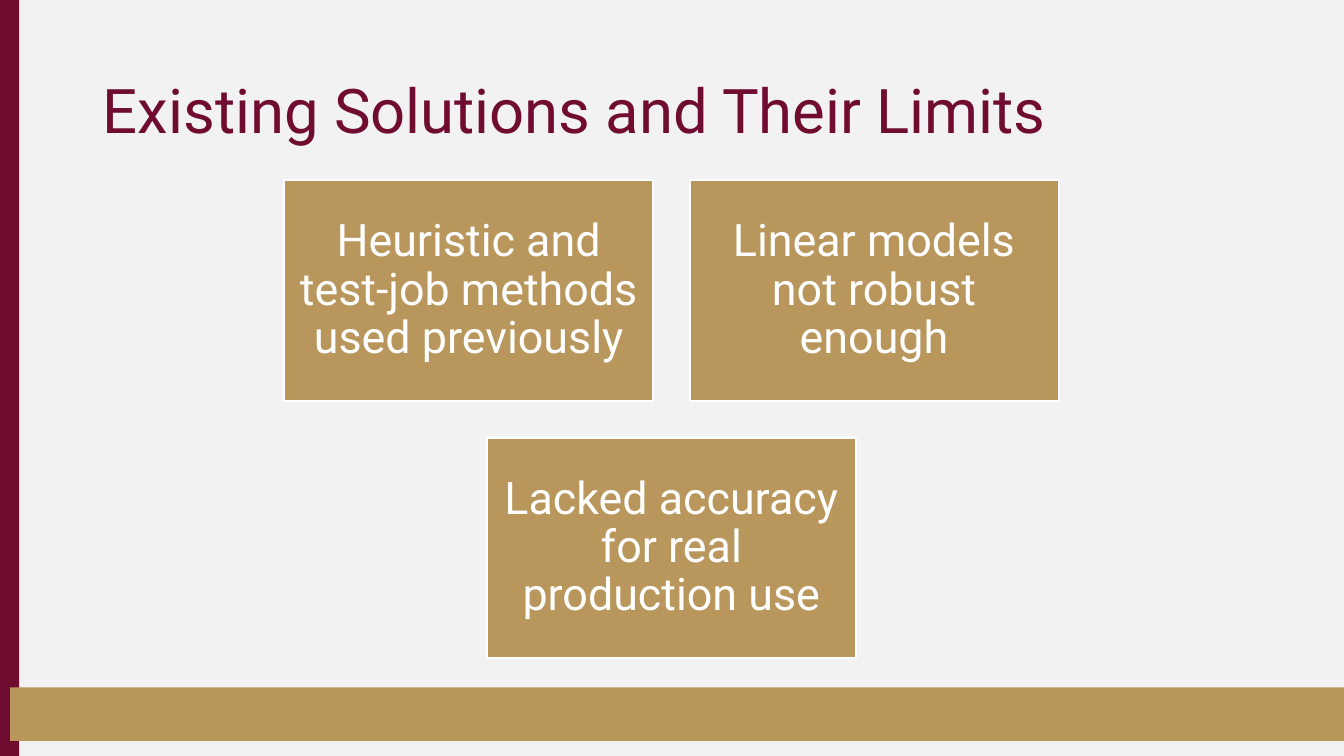
from pptx import Presentation
from pptx.dml.color import RGBColor
from pptx.enum.shapes import MSO_SHAPE
from pptx.enum.text import MSO_ANCHOR, PP_ALIGN
from pptx.util import Emu, Pt

RECT = MSO_SHAPE.RECTANGLE
MIDDLE = MSO_ANCHOR.MIDDLE
LEFT, CENTER = PP_ALIGN.LEFT, PP_ALIGN.CENTER

SCALE = 9144  # EMU per px, 100 px to the inch
SLIDE_W, SLIDE_H = 1333, 750
BOX_W, BOX_H, GAP = 366, 219, 36
BOXES_TOP = 179
FONT = "Roboto"
COLORS = {
    "background": "F2F2F2",
    "maroon": "700C2F",
    "bar": "B9975B",
    "box": "B9965B",
    "white": "FFFFFF",
}
BOX_ROWS = [
    ["Heuristic and test-job methods used previously",
     "Linear models not robust enough"],
    ["Lacked accuracy for real production use"],
]


def px(n):
    return Emu(n * SCALE)


def color(name):
    return RGBColor.from_string(COLORS[name])


def set_attrs(obj, values):
    for name, value in values.items():
        setattr(obj, name, value)


def set_text(sp, text, size, color_name, align):
    tf = sp.text_frame
    set_attrs(tf, {"word_wrap": True, "vertical_anchor": MIDDLE})
    p = tf.paragraphs[0]
    set_attrs(p, {"alignment": align, "line_spacing": 0.9})
    r = p.add_run()
    r.text = text
    set_attrs(r.font, {"name": FONT, "size": Pt(size)})
    r.font.color.rgb = color(color_name)


def add_rect(slide, left, top, width, height, fill):
    sp = slide.shapes.add_shape(RECT, px(left), px(top), px(width), px(height))
    sp.shadow.inherit = False
    sp.fill.solid()
    sp.fill.fore_color.rgb = color(fill)
    sp.line.fill.background()
    return sp


def add_box(slide, left, top, text):
    sp = add_rect(slide, left, top, BOX_W, BOX_H, "box")
    sp.line.color.rgb = color("white")
    sp.line.width = Pt(1.5)
    sides = ("left", "top", "right", "bottom")
    set_attrs(sp.text_frame, {f"margin_{side}": px(13) for side in sides})
    set_text(sp, text, 32, "white", CENTER)


def add_title(slide, text):
    sp = slide.shapes.title
    set_attrs(sp, {"left": px(92), "top": px(40),
                   "width": px(1150), "height": px(145)})
    set_text(sp, text, 44, "maroon", LEFT)


def main():
    prs = Presentation()
    set_attrs(prs, {"slide_width": px(SLIDE_W), "slide_height": px(SLIDE_H)})
    slide = prs.slides.add_slide(prs.slide_layouts[5])
    slide.background.fill.solid()
    slide.background.fill.fore_color.rgb = color("background")

    # Side and bottom bars
    add_rect(slide, 0, 0, 19, SLIDE_H, "maroon")
    add_rect(slide, 10, 682, SLIDE_W - 10, 53, "bar")

    add_title(slide, "Existing Solutions and Their Limits")

    # Rows of boxes, each centred on the slide
    for i, row in enumerate(BOX_ROWS):
        row_w = len(row) * (BOX_W + GAP) - GAP
        left = (SLIDE_W - row_w) // 2
        for j, text in enumerate(row):
            add_box(slide, left + j * (BOX_W + GAP),
                    BOXES_TOP + i * (BOX_H + GAP), text)

    prs.save("out.pptx")


if __name__ == "__main__":
    main()
